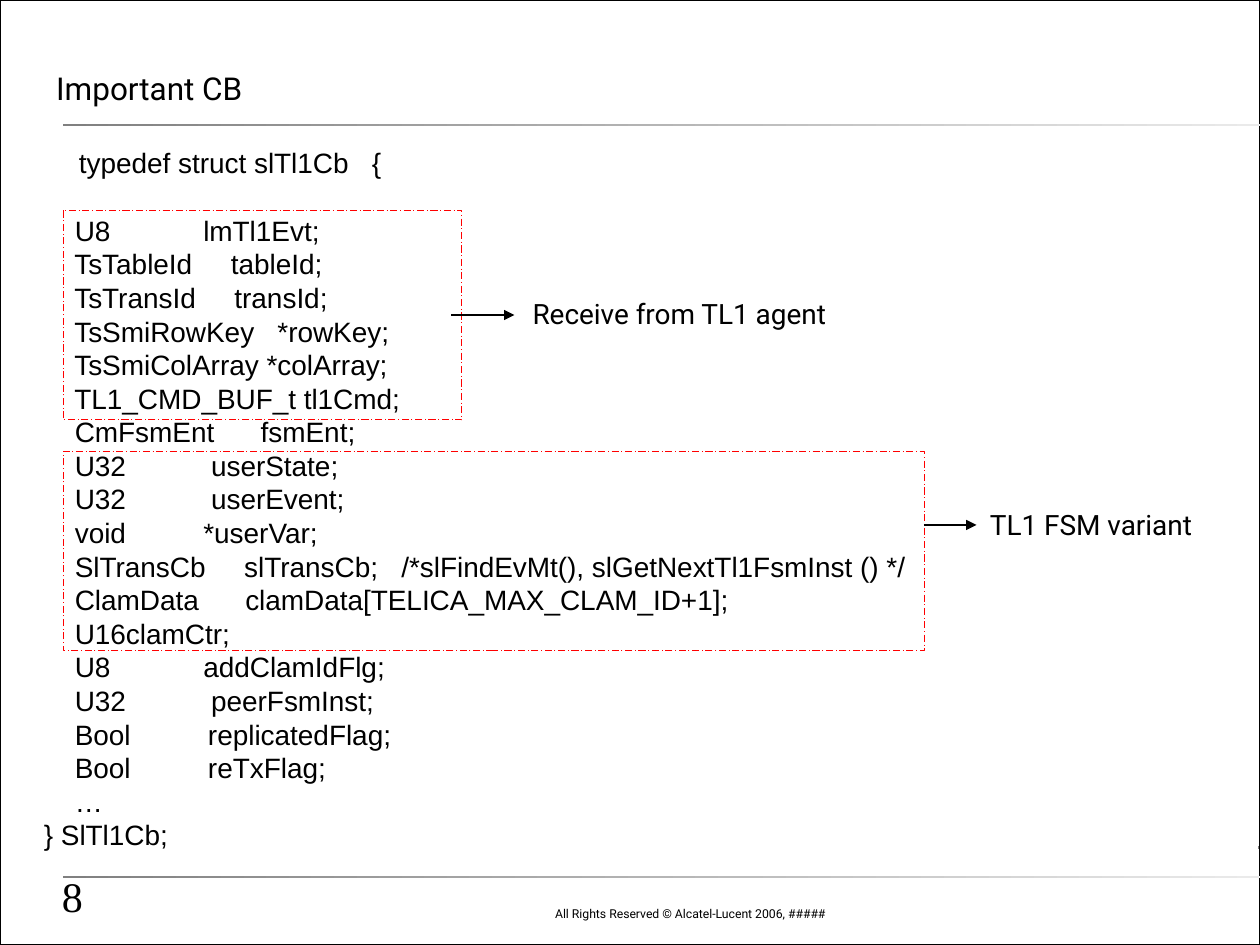
from lxml.etree import SubElement
from pptx import Presentation
from pptx.dml.color import RGBColor
from pptx.enum.dml import MSO_LINE
from pptx.enum.shapes import MSO_CONNECTOR, MSO_SHAPE
from pptx.enum.text import MSO_ANCHOR, PP_ALIGN
from pptx.oxml.ns import qn
from pptx.util import Inches, Pt

CODE_PITCH = 19.2
CODE_FIELDS = """\
    U8            lmTl1Evt;
    TsTableId     tableId;
    TsTransId     transId;
    TsSmiRowKey   *rowKey;
    TsSmiColArray *colArray;
    TL1_CMD_BUF_t tl1Cmd;
    CmFsmEnt      fsmEnt;
    U32           userState;
    U32           userEvent;
    void          *userVar;
    SlTransCb     slTransCb;   /*slFindEvMt(), slGetNextTl1FsmInst () */
    ClamData      clamData[TELICA_MAX_CLAM_ID+1];
    U16clamCtr;
    U8            addClamIdFlg;
    U32           peerFsmInst;
    Bool          replicatedFlag;
    Bool          reTxFlag;
    …
} SlTl1Cb;""".split("\n")


def color(value):
    """Turn a hex string into a colour."""
    return RGBColor.from_string(value)


def write(para, text, *, size=16, font="Roboto", ink="000000", align=PP_ALIGN.LEFT):
    """Add a formatted span of text to a paragraph."""
    para.alignment = align
    span = para.add_run()
    span.text = text
    span.font.size = Pt(size)
    span.font.name = font
    span.font.color.rgb = color(ink)


class SlideBuilder:
    """Draw styled elements on a slide with a grid of 120 columns and 90 rows."""

    columns, rows = 120, 90

    def __init__(self, deck):
        """Add a blank page to the deck."""
        self.deck = deck
        self.page = deck.slides.add_slide(deck.slide_layouts[6])
        self.page.background.fill.solid()
        self.page.background.fill.fore_color.rgb = color("B2B2B2")

    def place(self, *cells):
        """Convert alternating column and row counts to lengths."""
        units = (self.deck.slide_width / self.columns, self.deck.slide_height / self.rows)
        return [round(cell * units[index % 2]) for index, cell in enumerate(cells)]

    def rectangle(self, *cells, fill=None, line=None, width=1, dash=None):
        """Draw a rectangle with an optional fill and outline."""
        shape = self.page.shapes.add_shape(MSO_SHAPE.RECTANGLE, *self.place(*cells))
        shape.shadow.inherit = False
        if fill:
            shape.fill.solid()
            shape.fill.fore_color.rgb = color(fill)
        else:
            shape.fill.background()
        if line:
            shape.line.color.rgb = color(line)
            shape.line.width = Pt(width)
            shape.line.dash_style = dash
        else:
            shape.line.fill.background()
        return shape

    def rule(self, *cells, light="EAEAEA"):
        """Draw a thin bar that fades from grey on the left."""
        bar = self.rectangle(*cells)
        bar.fill.gradient()
        bar.fill.gradient_angle = 180
        for stop, shade in zip(bar.fill.gradient_stops, (light, "808080")):
            stop.color.rgb = color(shade)

    def group_frame(self, *cells):
        """Outline a group of struct fields."""
        self.rectangle(*cells, line="FF0000", width=0.5, dash=MSO_LINE.LONG_DASH_DOT)

    def arrow(self, left, right, row):
        """Draw a horizontal arrow that points right."""
        link = self.page.shapes.add_connector(
            MSO_CONNECTOR.STRAIGHT, *self.place(left, row, right, row))
        link.line.color.rgb = color("000000")
        link.line.width = Pt(1.5)
        SubElement(link.line._get_or_add_ln(), qn("a:tailEnd"), type="triangle")
        SubElement(link._element.spPr, qn("a:effectLst"))

    def text_box(self, *cells, inset=(0, 0), anchor=MSO_ANCHOR.TOP, wrap=True):
        """Add a text box and return its text frame."""
        frame = self.page.shapes.add_textbox(*self.place(*cells)).text_frame
        frame.word_wrap = wrap
        frame.vertical_anchor = anchor
        frame.margin_left = frame.margin_right = Inches(inset[0])
        frame.margin_top = frame.margin_bottom = Inches(inset[1])
        return frame

    def label(self, text, *cells):
        """Add a centred note beside an arrow."""
        para = self.text_box(*cells).paragraphs[0]
        para.line_spacing = 0.9
        write(para, text, align=PP_ALIGN.CENTER)

    def code(self, *cells):
        """Write the struct definition."""
        frame = self.text_box(*cells, inset=(0.1, 0.05), anchor=MSO_ANCHOR.MIDDLE)
        opening = frame.paragraphs[0]
        opening.line_spacing = Pt(CODE_PITCH)
        write(opening, "    ", size=18, font="Arial")
        write(opening, "typedef struct slTl1Cb   {", font="Arial")
        for index, field in enumerate(CODE_FIELDS):
            para = frame.add_paragraph()
            para.line_spacing = Pt(CODE_PITCH)
            if index == 0:
                para.space_before = Pt(CODE_PITCH)
            write(para, field, font="Arial")


def main():
    """Build and save the slide."""
    deck = Presentation()
    deck.slide_width, deck.slide_height = Inches(10), Inches(7.5)
    slide = SlideBuilder(deck)

    slide.rectangle(0, 0, 120, 90, fill="FFFFFF", line="FFFFFF", width=1.5)
    slide.rule(119.8, 80.6, 0.12, 0.24, light="D5D5D5")
    slide.rectangle(0, 0, 120, 90, line="000000")
    footer = slide.text_box(42, 85.3, 37.8, 3, inset=(0.1, 0.05), anchor=MSO_ANCHOR.BOTTOM)
    write(footer.paragraphs[0], "All Rights Reserved © Alcatel-Lucent 2006, #####",
          size=7, align=PP_ALIGN.RIGHT)
    for row in (11.8, 83.4):
        slide.rule(6, row, 114, 0.24)

    slide.code(3, 13.1, 96.5, 68.8)
    title = slide.text_box(3.2, 6.6, 57.1, 3.8, inset=(0.18, 0), wrap=False)
    write(title.paragraphs[0], "Important CB", size=18)

    slide.label("Receive from TL1 agent", 46.2, 28.6, 37, 2.9)
    slide.group_frame(6, 20, 38, 20)
    slide.arrow(43, 49, 30)
    slide.group_frame(6, 43, 82, 19)
    slide.label("TL1 FSM variant", 93.4, 48.7, 21, 2.9)
    slide.arrow(88, 93, 50)

    number = slide.text_box(4.7, 82.3, 41.9, 6, inset=(0.1, 0.05), anchor=MSO_ANCHOR.BOTTOM)
    write(number.paragraphs[0], "8", size=24, font="Times New Roman")
    deck.save("out.pptx")


if __name__ == "__main__":
    main()
